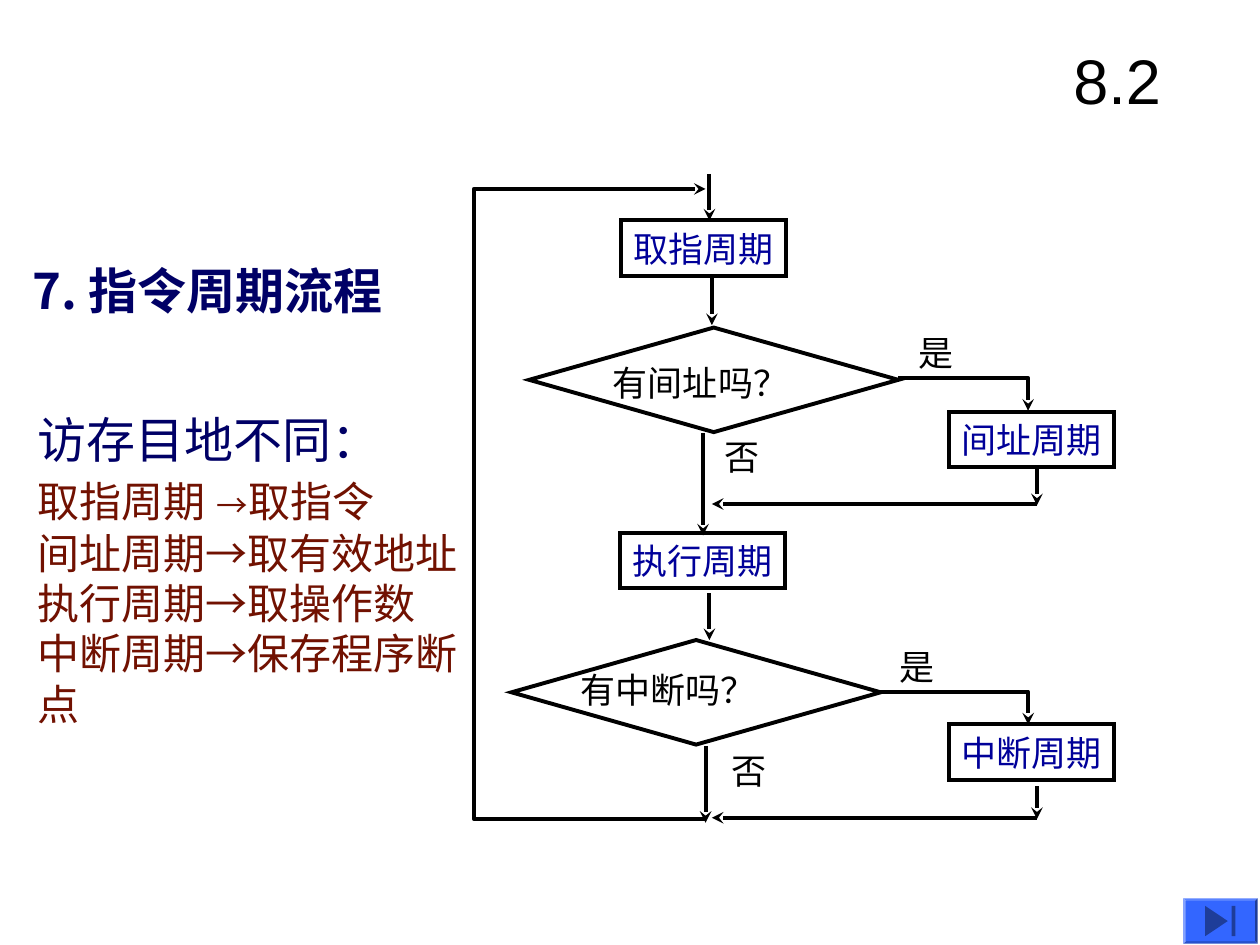
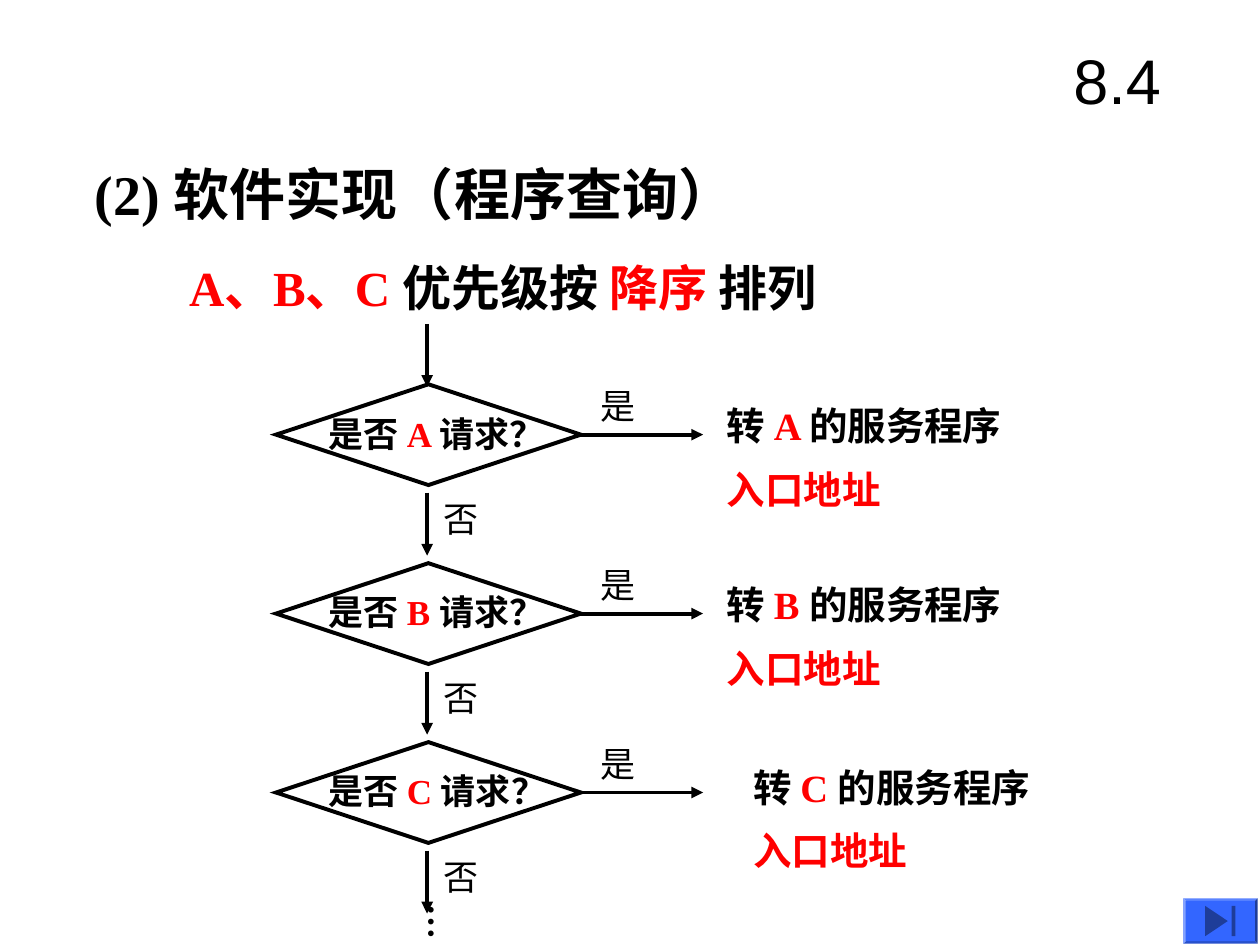
from dataclasses import dataclass

from lxml import etree
from pptx import Presentation
from pptx.dml.color import RGBColor
from pptx.enum.shapes import MSO_CONNECTOR, MSO_SHAPE
from pptx.enum.text import MSO_ANCHOR, PP_ALIGN
from pptx.oxml.ns import qn
from pptx.util import Inches, Pt

RECT, DIAMOND = MSO_SHAPE.RECTANGLE, MSO_SHAPE.DIAMOND
BEVEL, END_KEY = MSO_SHAPE.BEVEL, MSO_SHAPE.ACTION_BUTTON_END
STRAIGHT = MSO_CONNECTOR.STRAIGHT
TOP, MIDDLE = MSO_ANCHOR.TOP, MSO_ANCHOR.MIDDLE
LEFT, CENTER = PP_ALIGN.LEFT, PP_ALIGN.CENTER


@dataclass(frozen=True)
class Theme:
    black: str = "000000"
    navy: str = "000066"
    blue: str = "000099"
    maroon: str = "711101"
    red: str = "FF0000"
    key: str = "3366FF"
    serif: str = "Times New Roman"
    sans: str = "Arial"
    han: str = "Noto Sans CJK SC"
    number: int = 36
    title: int = 32
    head: int = 28
    body: int = 24
    goal: int = 22
    flow: int = 20
    small: int = 18
    line: float = 2.25


T = Theme()
PAD = (0.1, 0.05, 0.1, 0.05)
FLAT = (0, 0.05, 0, 0.05)


# Text: a paragraph is a list of (text, colour) or (text, colour, size, font)
def style(run, size, color, font, bold):
    run.font.size = Pt(size)
    run.font.bold = bold
    run.font.color.rgb = RGBColor.from_string(color)
    run.font.name = font
    etree.SubElement(run.font._element, qn("a:ea"), typeface=T.han)


def fill_text(frame, paras, size, font=T.han, bold=False, align=LEFT,
              anchor=TOP, pad=PAD, wrap=True, before=0, spacing=None):
    frame.word_wrap = wrap
    frame.vertical_anchor = anchor
    (frame.margin_left, frame.margin_top,
     frame.margin_right, frame.margin_bottom) = map(Inches, pad)
    for i, parts in enumerate(paras):
        para = frame.add_paragraph() if i else frame.paragraphs[0]
        para.alignment = align
        if i and before:
            para.space_before = Pt(before)
        if spacing:
            para.line_spacing = spacing
        for text, color, *own in parts:
            run = para.add_run()
            run.text = text
            own_size, own_font = own or (size, font)
            style(run, own_size, color, own_font, bold)


def add_text(slide, at, paras, size, **look):
    box = slide.shapes.add_textbox(*map(Inches, at))
    fill_text(box.text_frame, paras, size, **look)
    return box


def add_label(slide, x, y, text, font=T.han):
    add_text(slide, (x, y, 0.67, 0.44), [[(text, T.black)]], T.flow, font=font)


# Flow chart parts
def set_line(shape, head=None):
    shape.line.color.rgb = RGBColor.from_string(T.black)
    shape.line.width = Pt(T.line)
    if head:
        etree.SubElement(shape.line._get_or_add_ln(), qn("a:tailEnd"), type=head)


def add_node(slide, kind, at):
    node = slide.shapes.add_shape(kind, *map(Inches, at))
    node.shadow.inherit = False
    node.fill.background()
    set_line(node)
    etree.SubElement(node.line._get_or_add_ln(), qn("a:miter"), lim="800000")
    return node


def add_step(slide, x, y, text):
    node = add_node(slide, RECT, (x, y, 1.31, 0.44))
    fill_text(node.text_frame, [[(text, T.blue)]], T.flow, font=T.serif,
              align=CENTER, anchor=MIDDLE, wrap=False)


def add_test(slide, x, y, text, text_at):
    add_node(slide, DIAMOND, (x, y, 2.93, 0.83))
    add_text(slide, text_at, [[(text, T.black)]], T.flow, font=T.serif,
             align=CENTER, anchor=MIDDLE, wrap=False)


def add_arrow(slide, start, end, head):
    line = slide.shapes.add_connector(STRAIGHT, *map(Inches, start + end))
    set_line(line, head)
    etree.SubElement(line._element.spPr, qn("a:effectLst"))


def add_bend(slide, points, head):
    spots = [(Inches(x), Inches(y)) for x, y in points]
    pen = slide.shapes.build_freeform(*spots[0])
    pen.add_line_segments(spots[1:], close=False)
    path = pen.convert_to_shape()
    path.shadow.inherit = False
    path.fill.background()
    set_line(path, head)


# Shared slide frame: section number and the raised button in the corner
def add_key(slide, kind, at):
    key = slide.shapes.add_shape(kind, *map(Inches, at))
    key.shadow.inherit = False
    key.fill.solid()
    key.fill.fore_color.rgb = RGBColor.from_string(T.key)
    key.line.fill.background()
    return key


def add_page(deck, number):
    slide = deck.slides.add_slide(deck.slide_layouts[6])
    add_text(slide, (8.42, 0.17, 1.25, 0.92), [[(number, T.black)]],
             T.number, font=T.sans, anchor=MIDDLE)
    rim = add_key(slide, BEVEL, (9.39, 7.13, 0.59, 0.36))
    rim.adjustments[0] = 0.06
    add_key(slide, END_KEY, (9.41, 7.15, 0.55, 0.32))
    return slide


def draw_cycle(deck):
    slide = add_page(deck, "8.2")
    add_text(slide, (0.16, 2.02, 3.58, 0.57), [[("7. 指令周期流程", T.navy)]],
             T.head, bold=True)

    # Memory access notes
    notes = [
        [("访存目地不同：", T.navy, T.head, T.han)],
        [("取指周期", T.maroon), (" ", T.maroon, T.head, T.han),
         ("→", T.maroon, T.small, T.sans), ("取指令", T.maroon)],
    ]
    for note in ("间址周期→取有效地址", "执行周期→取操作数", "中断周期→保存程序断点"):
        notes.append([(note, T.maroon)])
    add_text(slide, (0.2, 3.2, 3.58, 3.57), notes, T.body)

    # Steps and tests
    for x, y, text in ((4.93, 1.75, "取指周期"), (4.92, 4.23, "执行周期"),
                       (7.53, 3.27, "间址周期"), (7.53, 5.75, "中断周期")):
        add_step(slide, x, y, text)
    add_test(slide, 4.2, 2.6, "有间址吗？", (3.97, 2.6, 3.18, 0.87))
    add_test(slide, 4.06, 5.08, "有中断吗？", (4.51, 5.25, 1.59, 0.44))
    for x, y, text in ((7.19, 2.58, "是"), (7.04, 5.07, "是"),
                       (5.65, 3.41, "否"), (5.71, 5.9, "否")):
        add_label(slide, x, y, text, T.serif)

    # Downward arrows
    for x, top, end in ((5.63, 1.38, 1.75), (5.65, 2.21, 2.58),
                        (5.58, 3.44, 4.25), (5.63, 4.71, 5.08),
                        (5.6, 5.92, 6.53), (8.23, 3.72, 4.01),
                        (8.23, 6.24, 6.5)):
        add_arrow(slide, (x, top), (x, end), "stealth")

    # Side branches and the loop back to the start
    for x, y in ((7.13, 3), (6.97, 5.49)):
        add_bend(slide, [(x, y), (8.16, y), (8.16, y + 0.26)], "stealth")
    for y in (4, 6.49):
        add_arrow(slide, (8.23, y), (5.65, y), "stealth")
    add_bend(slide, [(5.6, 6.5), (3.76, 6.5), (3.76, 1.5), (5.6, 1.5)], "stealth")


def draw_query(deck):
    slide = add_page(deck, "8.4")
    add_text(slide, (0.75, 1.24, 5.75, 0.58),
             [[("(2) 软件实现（程序查询）", T.black)]], T.title,
             font=T.serif, bold=True, anchor=MIDDLE, pad=FLAT)
    order = [("A、B、C ", T.red), ("优先级按 ", T.black),
             ("降序 ", T.red), ("排列", T.black)]
    add_text(slide, (1.5, 1.99, 5.75, 0.58), [order], T.head,
             font=T.serif, bold=True, anchor=MIDDLE, pad=FLAT)

    # One row for each request
    add_arrow(slide, (3.39, 2.57), (3.39, 3.07), "triangle")
    goals = (("A", 5.67, 3.2), ("B", 5.67, 4.62), ("C", 5.88, 6.07))
    for row, (name, x, y) in enumerate(goals):
        top = 3.05 + 1.42 * row
        add_node(slide, DIAMOND, (2.19, top, 2.42, 0.8))
        ask = [("是否 ", T.black), (name + " ", T.red, T.flow, T.serif),
               ("请求？", T.black)]
        add_text(slide, (2.61, top + 0.22, 2.23, 0.39), [ask], T.flow,
                 bold=True, pad=(0, 0, 0.1, 0.05))
        add_arrow(slide, (4.58, top + 0.4), (5.58, top + 0.4), "triangle")
        add_label(slide, 4.67, top - 0.05, "是")
        add_arrow(slide, (3.39, top + 0.86), (3.39, top + 1.36), "triangle")
        add_label(slide, 3.42, top + 0.85, "否")
        goal = [("转 ", T.black), (name + " ", T.red, T.goal, T.serif),
                ("的服务程序", T.black)]
        add_text(slide, (x, y, 3.83, 0.92), [goal, [("入口地址", T.red)]],
                 T.goal, bold=True, before=13.8, spacing=0.85)

    # The list goes on
    dots = add_text(slide, (3.2, 7.08, 0.53, 0.38), [[("…", T.black)]], T.flow,
                    font=T.serif, bold=True, pad=(0.05, 0.1, 0.05, 0.1),
                    wrap=False)
    dots.text_frame._txBody.bodyPr.set("vert", "eaVert")


def main():
    deck = Presentation()
    deck.slide_width, deck.slide_height = Inches(10), Inches(7.5)
    draw_cycle(deck)
    draw_query(deck)
    deck.save("out.pptx")


if __name__ == "__main__":
    main()
